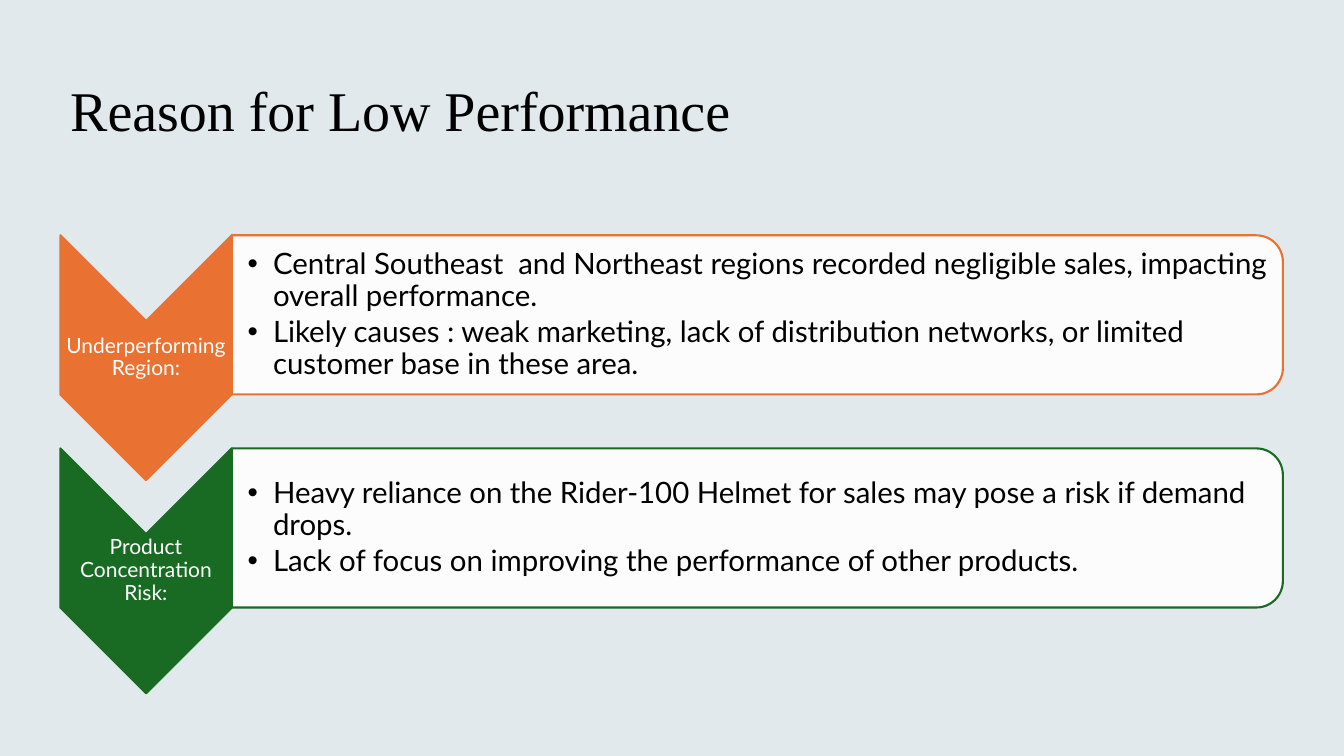
from lxml.etree import SubElement
from pptx import Presentation
from pptx.dml.color import RGBColor
from pptx.enum.shapes import MSO_SHAPE as Preset
from pptx.enum.text import MSO_ANCHOR as Anchor, MSO_AUTO_SIZE as AutoSize, PP_ALIGN as Align
from pptx.oxml.ns import qn
from pptx.util import Cm, Pt

BACKGROUND, BLACK, WHITE = "E2E9EC", "000000", "FFFFFF"
CHEVRON_WIDTH, CHEVRON_HEIGHT = 4.32, 6.17
PANEL_HEIGHT = 4.01
REASON_PITCH = 5.37

REASONS = [
    ("Underperforming Region:", "E97132", [
        "Central Southeast  and Northeast regions recorded negligible sales, "
        "impacting overall performance.",
        "Likely causes : weak marketing, lack of distribution networks, "
        "or limited customer base in these area.",
    ]),
    ("Product Concentration Risk:", "196B24", [
        "Heavy reliance on the Rider-100 Helmet for sales may pose a risk if demand drops.",
        "Lack of focus on improving the performance of other products.",
    ]),
]


def color(hex_string):
    return RGBColor.from_string(hex_string)


def place(shape, left, top, width, height):
    shape.left, shape.top = Cm(left), Cm(top)
    shape.width, shape.height = Cm(width), Cm(height)


def set_frame(shape, left_inset, inset):
    frame = shape.text_frame
    frame.word_wrap = True
    frame.auto_size = AutoSize.NONE
    frame.vertical_anchor = Anchor.MIDDLE
    frame.margin_left = Cm(left_inset)
    frame.margin_right = frame.margin_top = frame.margin_bottom = Cm(inset)


def format_paragraph(paragraph, font_name, size, hex_string, align=Align.LEFT, space_after=0):
    paragraph.alignment = align
    paragraph.line_spacing = 0.9
    paragraph.space_before, paragraph.space_after = Pt(0), Pt(space_after)
    for run in paragraph.runs:
        run.font.name, run.font.size = font_name, Pt(size)
        run.font.color.rgb = color(hex_string)


def add_bullet(paragraph):
    properties = paragraph._p.get_or_add_pPr()
    properties.set("marL", str(Cm(0.64)))
    properties.set("indent", str(-Cm(0.64)))
    SubElement(properties, qn("a:buChar")).set("char", "•")


def add_turned_shape(slide, preset, left, top, width, height, fill, line):
    """Fill the given box with a preset turned a quarter clockwise."""
    shape = slide.shapes.add_shape(preset, 0, 0, 0, 0)
    place(shape, left + (width - height) / 2, top + (height - width) / 2, height, width)
    shape.rotation = 90
    shape.shadow.inherit = False
    shape.fill.solid()
    shape.fill.fore_color.rgb = color(fill)
    shape.line.color.rgb = color(line)
    shape.line.width = Pt(1.5)
    return shape


def fill_title(title, left, top, width, height):
    place(title, left, top, width, height)
    title.text_frame.text = "Reason for Low Performance"
    set_frame(title, 0.25, 0.13)
    format_paragraph(title.text_frame.paragraphs[0], "Times New Roman", 40, BLACK)


def add_chevron(slide, left, top, label, accent):
    add_turned_shape(slide, Preset.CHEVRON, left, top, CHEVRON_WIDTH, CHEVRON_HEIGHT,
                     accent, accent)
    # The label lies between the notch and the lower corners
    notch = CHEVRON_WIDTH / 2
    text_box = slide.shapes.add_textbox(
        Cm(left), Cm(top + notch), Cm(CHEVRON_WIDTH), Cm(CHEVRON_HEIGHT - 2 * notch))
    text_box.text_frame.text = label
    set_frame(text_box, 0.03, 0.03)
    format_paragraph(text_box.text_frame.paragraphs[0], "Lato", 15, WHITE, Align.CENTER)


def add_panel(slide, body, left, top, width, points, accent):
    panel = add_turned_shape(slide, Preset.ROUND_2_SAME_RECTANGLE, left, top, width,
                             PANEL_HEIGHT, WHITE, accent)
    panel_color = panel.fill._xPr.find(qn("a:solidFill"))[0]
    SubElement(panel_color, qn("a:alpha")).set("val", "90000")

    # The list goes in front of the panel
    slide.shapes.element.append(body.element)
    place(body, left, top + 0.2, width - 0.2, PANEL_HEIGHT - 0.4)
    body.text_frame.text = "\n".join(points)
    set_frame(body, 0.4, 0.03)
    for paragraph in body.text_frame.paragraphs:
        format_paragraph(paragraph, "Lato", 21, BLACK, space_after=3)
        add_bullet(paragraph)


def add_reason(slide, body, left, top, width, reason):
    label, accent, points = reason
    add_chevron(slide, left, top, label, accent)
    add_panel(slide, body, left + CHEVRON_WIDTH, top, width - CHEVRON_WIDTH, points, accent)


def main():
    presentation = Presentation()
    presentation.slide_width, presentation.slide_height = Cm(33.87), Cm(19.05)

    # Layout with a title and two lists
    slide = presentation.slides.add_slide(presentation.slide_layouts[3])
    slide.background.fill.solid()
    slide.background.fill.fore_color.rgb = color(BACKGROUND)
    title, *bodies = slide.placeholders

    fill_title(title, 1.52, 1.02, 30.81, 3.68)
    for index, (body, reason) in enumerate(zip(bodies, REASONS)):
        add_reason(slide, body, 1.52, 5.93 + index * REASON_PITCH, 30.81, reason)

    presentation.save("out.pptx")


if __name__ == "__main__":
    main()
